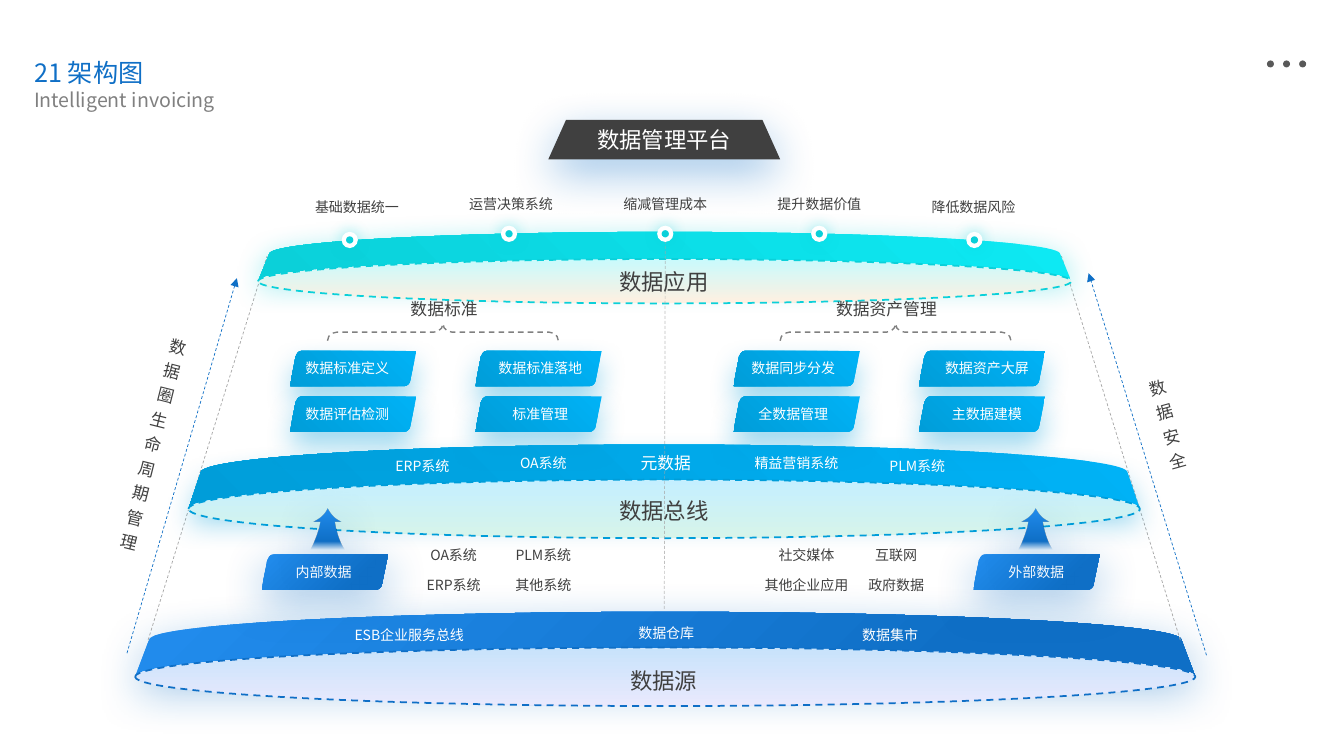
from dataclasses import dataclass
from pptx import Presentation
from pptx.dml.color import RGBColor
from pptx.enum.dml import MSO_LINE
from pptx.enum.shapes import MSO_CONNECTOR, MSO_SHAPE
from pptx.enum.text import MSO_ANCHOR, MSO_AUTO_SIZE, PP_ALIGN
from pptx.oxml import parse_xml
from pptx.oxml.ns import nsdecls, qn
from pptx.util import Pt

Point = tuple[float, float]
Step = tuple[Point, ...]


@dataclass(frozen=True)
class Theme:
    font: str = "Noto Sans CJK SC"
    blue: str = "0F6FC6"
    sky: str = "009DD9"
    teal: str = "0BD0D9"
    ink: str = "404040"
    dots: str = "595959"
    gray: str = "808080"
    pale: str = "A6A6A6"
    white: str = "FFFFFF"
    small: int = 10
    mid: int = 12
    sub: int = 14
    big: int = 16
    title: int = 18


T = Theme()
HEIGHTS = {T.small: 19.4, T.mid: 23.8, T.big: 29.5}


@dataclass(frozen=True)
class Shade:
    stops: tuple[tuple[int, str, int], ...]
    angle: int = 0
    focus: str = ""


@dataclass(frozen=True)
class Glow:
    color: str
    blur: float
    drop: float


@dataclass(frozen=True)
class Band:
    x: float
    y: float
    w: float
    h: float
    inset: float
    bend: float
    oval: float
    shade: Shade
    glow: Glow
    top: str
    base: str


@dataclass(frozen=True)
class Label:
    text: str
    x: float
    y: float
    w: float = 85
    size: int = T.small
    color: str = T.ink
    h: float = 0
    turn: float = 0


@dataclass(frozen=True)
class Tile:
    text: str
    x: float
    y: float
    mid: float
    shade: Shade
    glow: Glow


@dataclass(frozen=True)
class Rule:
    start: Point
    end: Point
    color: str = T.pale
    arrow: bool = False
    alpha: int = 100


DEEP = Shade(((23, T.blue, 100), (100, "228DEE", 100)), focus='l="100000" t="100000"')
CLEAR = Shade(((0, T.sky, 100), (100, "00B2F6", 100)), focus='t="100000" r="100000"')
AQUA = Shade(((0, T.teal, 100), (100, "0DE9F3", 100)), focus='t="100000" r="100000"')
RISE = Shade(((0, T.blue, 0), (21, T.blue, 100), (100, "228DEE", 100)), angle=270)
DEEP_GLOW, SKY_GLOW = Glow(T.blue, 32.4, 9.7), Glow(T.sky, 20, 9.7)
TEAL_GLOW, DOT_GLOW = Glow(T.teal, 20, 4), Glow(T.teal, 10.8, 0)

BANDS = (
    Band(96.5, 437, 757.4, 46.4, 10, 20, 41.8, DEEP, DEEP_GLOW, "C8E3FB", "E9E9FD"),
    Band(184.3, 165.6, 581, 35.3, 8, 15.8, 31.7, AQUA, TEAL_GLOW, "C9FAFC", "FFF0E1"),
    Band(134.6, 317.5, 679.7, 46, 8.8, 20, 41.8, CLEAR, SKY_GLOW, "C4EFFF", "D7F4EA"),
)
TILE: list[Step] = [
    ((8, 0),), ((90, 0),), ((85.7, 20.9),), ((85.7, 23), (83.5, 25.2), (81.4, 25.2)), ((0, 25.2),),
    ((0.7, 18), (2.9, 9.4), (3.6, 4.3)), ((4.3, 2.2), (5.8, 0), (8, 0))]
ARROW: list[Step] = [
    ((12.25, 0),), ((14.4, 3.6), (16, 6.5), (22, 9.4)), ((17.3, 9.4),), ((18, 13),),
    ((19.4, 18.7), (21, 23.8), (24.5, 28.8)), ((0, 28.8),), ((2.9, 23.8), (5, 18), (6.5, 13)),
    ((7.2, 9.4),), ((2.2, 9.4),), ((8, 6.5), (10.8, 3.6), (12.25, 0))]
COLUMNS = (
    (207.4, 248, "数据标准定义", "数据评估检测"), (339.8, 385.9, "数据标准落地", "标准管理"),
    (524.2, 566.6, "数据同步分发", "全数据管理"), (656.6, 704.9, "数据资产大屏", "主数据建模"))
TILES = [Tile(text, x, 250.6 + 32.6 * row, mid, CLEAR, SKY_GLOW)
         for x, mid, *names in COLUMNS for row, text in enumerate(names)]
TILES += [Tile("内部数据", 187.2, 396, 231.1, DEEP, DEEP_GLOW),
          Tile("外部数据", 695.5, 396, 740.2, DEEP, DEEP_GLOW)]
PERKS = (("基础数据统一", 249.8, 4.4), ("运营决策系统", 363.6, 0), ("缩减管理成本", 475.2, 0),
         ("提升数据价值", 585.2, 0), ("降低数据风险", 696, 4.4))
SIDES = (Rule((90.7, 466.6), (169.2, 198.7), T.blue, True),
         Rule((861.8, 468), (777.6, 195.1), T.blue, True),
         Rule((105.8, 457.2), (190.8, 182.9)), Rule((843.1, 457.2), (758.2, 182.9)))
AXIS = Rule((474.5, 434.9), (475.2, 169.2), alpha=70)
LABELS = [
    Label("数据应用", 474.1, 183.6, 108.7, T.big), Label("数据总线", 474.1, 347.8, 108.7, T.big),
    Label("数据源", 474.1, 468.7, 108.7, T.big),
    Label("数据管理平台", 474.5, 82.8, 136.8, T.big, T.white),
    Label("数据标准", 317.2, 206.6, 108.7, T.mid), Label("数据资产管理", 633.2, 206.6, 108.7, T.mid),
    Label("数据圈生命周期管理", 110.2, 231.1, 31.7, T.mid, T.ink, 169.2, 14.1),
    Label("数据安全", 833.8, 262.1, 36, T.mid, T.ink, 78.5, 344.5),
    Label("OA系统", 324, 386.6), Label("PLM系统", 388.1, 386.6),
    Label("ERP系统", 324, 408.2), Label("其他系统", 388.1, 408.2),
    Label("社交媒体", 576, 386.6), Label("互联网", 640.1, 386.6),
    Label("其他企业应用", 576, 408.2), Label("政府数据", 640.1, 408.2),
    Label("元数据", 475.6, 316.8, 108.7, T.mid, T.white),
    Label("OA系统", 388.1, 321.1, color=T.white), Label("ERP系统", 301.7, 323.3, color=T.white),
    Label("PLM系统", 655.2, 323.3, color=T.white), Label("精益营销系统", 568.8, 321.1, color=T.white),
    Label("ESB企业服务总线", 292.3, 444.2, 98, color=T.white),
    Label("数据仓库", 475.9, 442.1, color=T.white), Label("数据集市", 635.8, 444.2, color=T.white),
]


def stain(shape, paint: str | Shade, glow: Glow | None = None, edge: str = "", width: float = 1.25) -> None:
    if isinstance(paint, Shade):
        shape.fill.background()
        stops = "".join(f'<a:gs pos="{at * 1000}"><a:srgbClr val="{color}"><a:alpha val="{alpha * 1000}"/>'
                        f'</a:srgbClr></a:gs>' for at, color, alpha in paint.stops)
        way = (f'<a:path path="circle"><a:fillToRect {paint.focus}/></a:path>' if paint.focus
               else f'<a:lin ang="{paint.angle * 60000}" scaled="0"/>')
        blank = shape._element.spPr.find(qn("a:noFill"))
        blank.getparent().replace(blank, parse_xml(
            f'<a:gradFill {nsdecls("a")} rotWithShape="1"><a:gsLst>{stops}</a:gsLst>{way}</a:gradFill>'))
    elif paint:
        shape.fill.solid()
        shape.fill.fore_color.rgb = RGBColor.from_string(paint)
    else:
        shape.fill.background()
    if edge:
        shape.line.color.rgb = RGBColor.from_string(edge)
        shape.line.width = Pt(width)
        shape.line.dash_style = MSO_LINE.DASH
    else:
        shape.line.fill.background()
    shape.shadow.inherit = False
    if glow:
        shape._element.spPr.find(qn("a:effectLst")).append(parse_xml(
            f'<a:outerShdw {nsdecls("a")} blurRad="{Pt(glow.blur)}" dist="{Pt(glow.drop)}" dir="5400000" '
            f'rotWithShape="0"><a:srgbClr val="{glow.color}"><a:alpha val="40000"/></a:srgbClr></a:outerShdw>'))


def form(shapes, kind: MSO_SHAPE, x: float, y: float, w: float, h: float):
    return shapes.add_shape(kind, Pt(x), Pt(y), Pt(w), Pt(h))


def trace(shapes, x: float, y: float, steps: list[Step], shade: Shade, glow: Glow) -> None:
    ends = [(Pt(a), Pt(b)) for a, b in (step[-1] for step in steps)]
    maker = shapes.build_freeform(*ends[0], scale=1.0)
    maker.add_line_segments(ends[1:], close=True)
    shape = maker.convert_to_shape(Pt(x), Pt(y))
    for step, line in zip(steps[1:], list(shape._element.iter(qn("a:lnTo")))):
        if len(step) == 3:
            knots = "".join(f'<a:pt x="{Pt(a)}" y="{Pt(b)}"/>' for a, b in step)
            line.getparent().replace(line, parse_xml(f'<a:cubicBezTo {nsdecls("a")}>{knots}</a:cubicBezTo>'))
    stain(shape, shade, glow)


def layer(shapes, band: Band) -> None:
    half, left, right = band.w / 2, band.inset, band.w - band.inset
    pull, lift = 0.55 * (half - left), 0.45 * band.bend
    trace(shapes, band.x, band.y, [
        ((half, 0),), ((half + pull, 0), (right, lift), (right, band.bend)), ((band.w, band.h),),
        ((0, band.h),), ((left, band.bend),), ((left, lift), (half - pull, 0), (half, 0))], band.shade, band.glow)
    disc = form(shapes, MSO_SHAPE.OVAL, band.x, band.y + band.h - band.oval / 2, band.w, band.oval)
    stain(disc, Shade(((0, band.top, 100), (100, band.base, 100)), 90), edge=band.glow.color)


def rule(shapes, item: Rule) -> None:
    link = shapes.add_connector(MSO_CONNECTOR.STRAIGHT, *(Pt(v) for v in (*item.start, *item.end)))
    link.line.color.rgb = RGBColor.from_string(item.color)
    link.line.width = Pt(0.5)
    link.line.dash_style = MSO_LINE.DASH
    line = link._element.spPr.find(qn("a:ln"))
    if item.alpha < 100:
        line.find(".//" + qn("a:srgbClr")).append(
            parse_xml(f'<a:alpha {nsdecls("a")} val="{item.alpha * 1000}"/>'))
    if item.arrow:
        line.append(parse_xml(f'<a:tailEnd {nsdecls("a")} type="triangle"/>'))
    link._element.spPr.append(parse_xml(f'<a:effectLst {nsdecls("a")}/>'))


def write(box, text: str, size: int, color: str, align: PP_ALIGN) -> None:
    frame = box.text_frame
    frame.text = text
    frame.word_wrap = True
    frame.auto_size = MSO_AUTO_SIZE.NONE
    frame.vertical_anchor = MSO_ANCHOR.MIDDLE
    frame.margin_left = frame.margin_right = Pt(7.2)
    frame.margin_top = frame.margin_bottom = Pt(0)
    frame.paragraphs[0].alignment = align
    font = frame.paragraphs[0].runs[0].font
    font.size, font.name = Pt(size), T.font
    font.color.rgb = RGBColor.from_string(color)
    font._element.append(parse_xml(f'<a:ea {nsdecls("a")} typeface="{T.font}"/>'))


def label(shapes, item: Label) -> None:
    box = shapes.add_textbox(Pt(item.x - item.w / 2), Pt(item.y), Pt(item.w), Pt(item.h or HEIGHTS[item.size]))
    write(box, item.text, item.size, item.color, PP_ALIGN.CENTER)
    box.rotation = item.turn
    if item.size > T.small:
        box.text_frame.paragraphs[0].line_spacing = Pt(18) if item.h else 1.25


def main() -> None:
    deck = Presentation()
    deck.slide_width, deck.slide_height = Pt(960), Pt(540)
    slide = deck.slides.add_slide(deck.slide_layouts[5])
    shapes, head = slide.shapes, slide.shapes.title
    head.left, head.top, head.width, head.height = Pt(17.3), Pt(37.4), Pt(229.7), Pt(28.8)
    write(head, "21 架构图", T.title, T.blue, PP_ALIGN.LEFT)
    under = shapes.add_textbox(Pt(17.3), Pt(59), Pt(205.9), Pt(24.5))
    write(under, "Intelligent invoicing", T.sub, T.gray, PP_ALIGN.LEFT)
    for side in SIDES[:2]:
        rule(shapes, side)
    layer(shapes, BANDS[0])
    for side in SIDES[2:]:
        rule(shapes, side)
    for band in BANDS[1:]:
        layer(shapes, band)
    for spot in range(3):
        stain(form(shapes, MSO_SHAPE.OVAL, 905 + 11.5 * spot, 43.2, 5, 5), T.dots)
    plate = form(shapes, MSO_SHAPE.TRAPEZOID, 391.7, 85.7, 165.6, 28.1)
    plate.adjustments[0] = 0.45
    stain(plate, T.ink, DEEP_GLOW)
    for x in (310.3, 633.6):
        brace = form(shapes, MSO_SHAPE.RIGHT_BRACE, x, 154.8, 12.2, 164.9)
        brace.rotation, brace.adjustments[0] = 270, 0.54
        stain(brace, "", edge=T.gray, width=1)
    rule(shapes, AXIS)
    for tile in TILES:
        trace(shapes, tile.x, tile.y, TILE, tile.shade, tile.glow)
        label(shapes, Label(tile.text, tile.mid, tile.y + 2.5, color=T.white))
    for x in (221.8, 727.4):
        trace(shapes, x, 363.6, ARROW, RISE, DEEP_GLOW)
    for item in LABELS:
        label(shapes, item)
    for index, (text, x, dip) in enumerate(PERKS):
        label(shapes, Label(text, 254.9 + 110.1 * index, 136.1 + dip / 2))
        for size, color, glow in ((11.6, T.white, DOT_GLOW), (5.2, T.teal, None)):
            stain(form(shapes, MSO_SHAPE.OVAL, x - size / 2, 167 + dip - size / 2, size, size), color, glow)
    deck.save("out.pptx")


if __name__ == "__main__":
    main()
